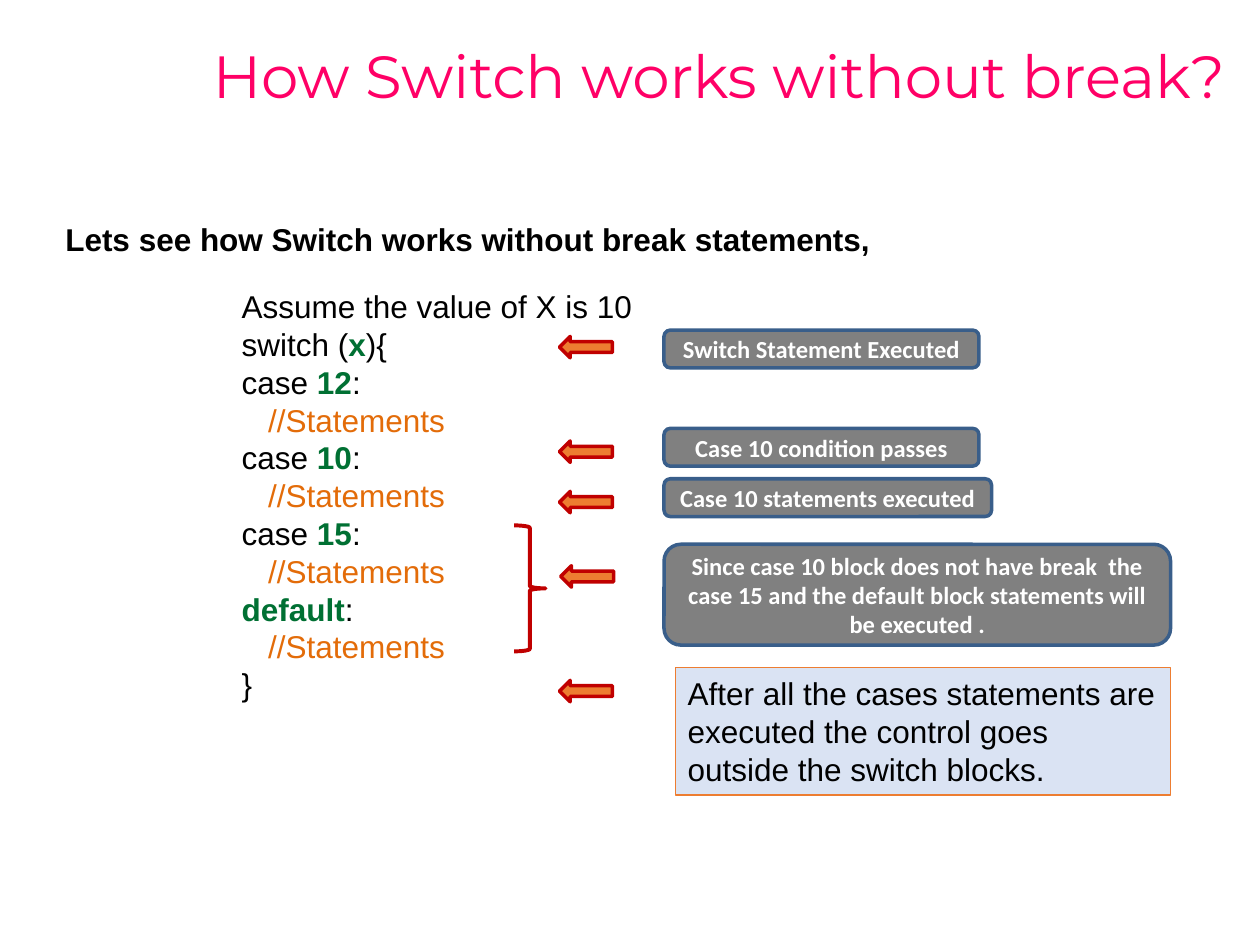
from dataclasses import dataclass

from pptx import Presentation
from pptx.dml.color import RGBColor
from pptx.enum.shapes import MSO_SHAPE
from pptx.enum.text import MSO_ANCHOR, PP_ALIGN
from pptx.util import Inches, Pt

COLUMNS, ROWS = 100, 75
SLIDE_WIDTH, SLIDE_HEIGHT = Inches(10), Inches(7.5)


@dataclass(frozen=True)
class Theme:
    """Colours, fonts and type sizes of the slide."""
    title: str = "FF0066"
    text: str = "000000"
    keyword: str = "007033"
    comment: str = "E36C09"
    arrow: str = "ED7D31"
    marker_line: str = "C00000"
    label: str = "808080"
    label_line: str = "395E8A"
    label_text: str = "FFFFFF"
    note: str = "DAE3F3"
    title_font: str = "Montserrat"
    body_font: str = "Arial"
    label_font: str = "Calibri"
    title_size: int = 34
    body_size: int = 18
    label_size: int = 14


THEME = Theme()


def cells(left, top, width, height):
    """Turn grid columns and rows into slide lengths."""
    across, down = SLIDE_WIDTH / COLUMNS, SLIDE_HEIGHT / ROWS
    return [round(n * unit) for n, unit in
            zip((left, top, width, height), (across, down, across, down))]


def add_run(paragraph, text, color, font=THEME.body_font, size=THEME.body_size, bold=False):
    """Append one styled run to a paragraph."""
    run = paragraph.add_run()
    run.text = text
    run.font.name, run.font.size, run.font.bold = font, Pt(size), bold
    run.font.color.rgb = RGBColor.from_string(color)


def add_text_box(slide, *place):
    """Add an empty wrapping text box and return its text frame."""
    frame = slide.shapes.add_textbox(*cells(*place)).text_frame
    frame.word_wrap = True
    return frame


def add_figure(slide, kind, place, line, weight, fill=None):
    """Add a flat preset shape with an outline and an optional fill."""
    shape = slide.shapes.add_shape(kind, *cells(*place))
    shape.shadow.inherit = False
    shape.line.color.rgb = RGBColor.from_string(line)
    shape.line.width = Pt(weight)
    if fill:
        shape.fill.solid()
        shape.fill.fore_color.rgb = RGBColor.from_string(fill)
    else:
        shape.fill.background()
    return shape


def add_title(slide, text):
    """Add the slide title."""
    frame = add_text_box(slide, 15.9, 0.1, 84.1, 12.4)
    frame.vertical_anchor = MSO_ANCHOR.MIDDLE
    frame.paragraphs[0].line_spacing = 0.9
    add_run(frame.paragraphs[0], text, THEME.title, THEME.title_font, THEME.title_size)


def add_code(slide, lines):
    """Add the code listing; each line is a list of (text, colour) parts."""
    frame = add_text_box(slide, 2.5, 22.3, 50, 34.3)
    for number, parts in enumerate(lines):
        paragraph = frame.add_paragraph() if number else frame.paragraphs[0]
        indented = parts[0][1] == THEME.comment
        properties = paragraph._p.get_or_add_pPr()
        properties.set("marL", str(Inches(1.47)))
        properties.set("indent", str(Inches(0.31 if indented else 0.1)))
        for text, color in parts:
            add_run(paragraph, text, color, bold=color == THEME.keyword)


def add_arrow(slide, left, top):
    """Add a small arrow pointing at a code line."""
    add_figure(slide, MSO_SHAPE.LEFT_ARROW, (left, top, 4.2, 1.7),
               THEME.marker_line, 2, THEME.arrow)


def add_label(slide, top, width, height, text):
    """Add a rounded label that explains a step."""
    shape = add_figure(slide, MSO_SHAPE.ROUNDED_RECTANGLE, (52.7, top, width, height),
                       THEME.label_line, 2, THEME.label)
    frame = shape.text_frame
    frame.word_wrap = True
    frame.vertical_anchor = MSO_ANCHOR.MIDDLE
    frame.paragraphs[0].alignment = PP_ALIGN.CENTER
    add_run(frame.paragraphs[0], text, THEME.label_text, THEME.label_font,
            THEME.label_size, True)


def add_note(slide, text):
    """Add the closing note."""
    shape = add_figure(slide, MSO_SHAPE.RECTANGLE, (53.6, 53, 39.3, 10.1),
                       THEME.arrow, 0.75, THEME.note)
    frame = shape.text_frame
    frame.word_wrap = True
    frame.vertical_anchor = MSO_ANCHOR.TOP
    frame.paragraphs[0].alignment = PP_ALIGN.LEFT
    add_run(frame.paragraphs[0], text, THEME.text)


def add_brace(slide):
    """Add the brace that spans the fall-through lines."""
    brace = add_figure(slide, MSO_SHAPE.RIGHT_BRACE, (40.8, 41.7, 2.5, 10),
                       THEME.marker_line, 2.25)
    brace.adjustments[0] = 0.08


def main():
    """Build and save the slide."""
    deck = Presentation()
    deck.slide_width, deck.slide_height = SLIDE_WIDTH, SLIDE_HEIGHT
    slide = deck.slides.add_slide(deck.slide_layouts[6])

    add_title(slide, "How Switch works without break?")
    lead = add_text_box(slide, 4.2, 17, 94.2, 4)
    add_run(lead.paragraphs[0], "Lets see how Switch works without break statements,",
            THEME.text, bold=True)

    statements = [("//Statements", THEME.comment)]
    code = [[("Assume the value of X is 10", THEME.text)],
            [("switch (", THEME.text), ("x", THEME.keyword), ("){", THEME.text)]]
    for value in ("12", "10", "15"):
        code += [[("case ", THEME.text), (value, THEME.keyword), (":", THEME.text)], statements]
    code += [[("default", THEME.keyword), (":", THEME.text)], statements, [("}", THEME.text)]]
    add_code(slide, code)

    for left, top in ((44.4, 26.7), (44.4, 35), (44.4, 39), (44.5, 44.9), (44.4, 54)):
        add_arrow(slide, left, top)
    for label in ((26.2, 25, 3, "Switch Statement Executed"),
                  (34, 25, 3, "Case 10 condition passes"),
                  (38, 26, 3, "Case 10 statements executed"),
                  (43.2, 40.2, 8, "Since case 10 block does not have break  the case 15 "
                                  "and the default block statements will be executed .")):
        add_label(slide, *label)
    add_note(slide, "After all the cases statements are executed the control "
                    "goes outside the switch blocks.")
    add_brace(slide)
    deck.save("out.pptx")


main()
